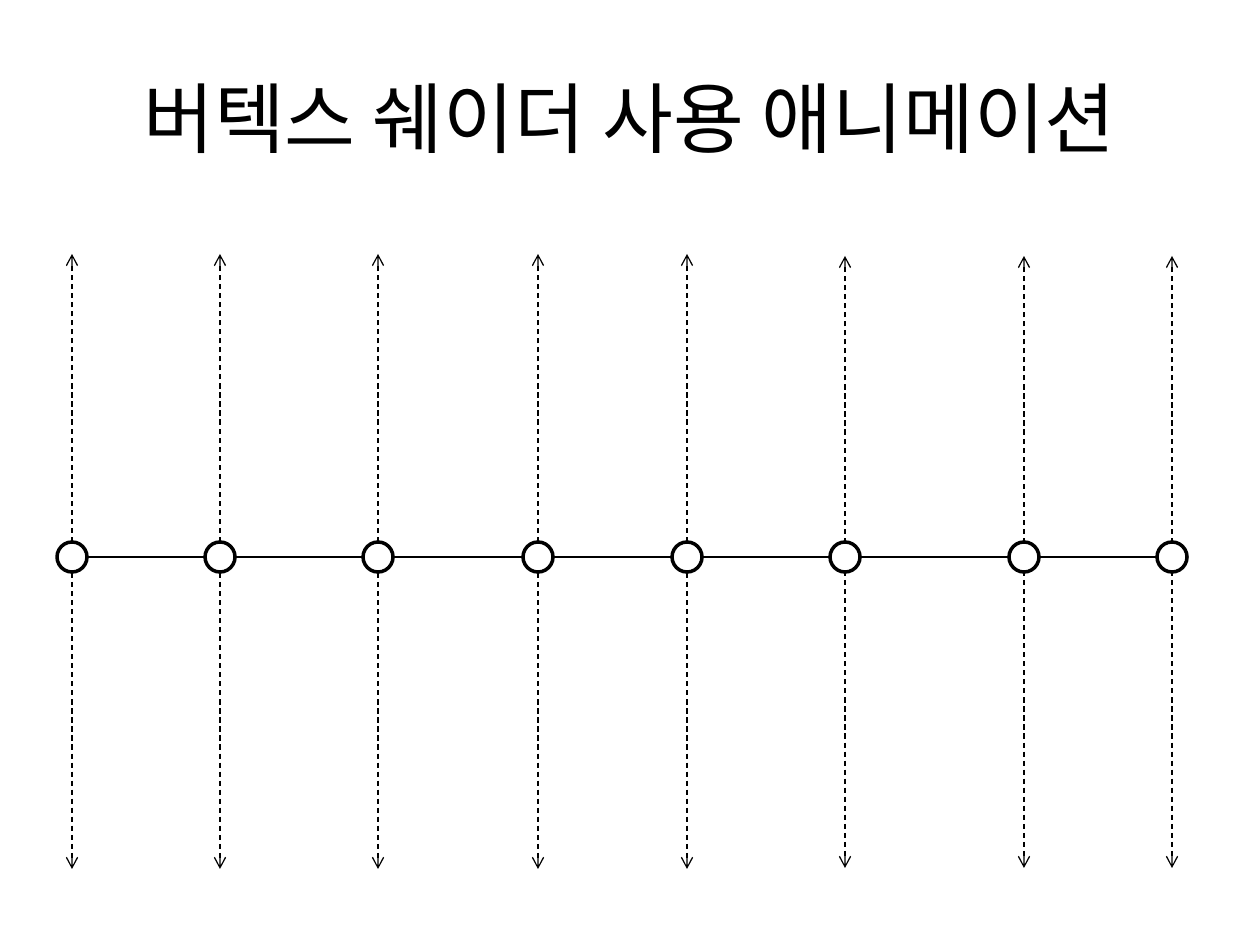
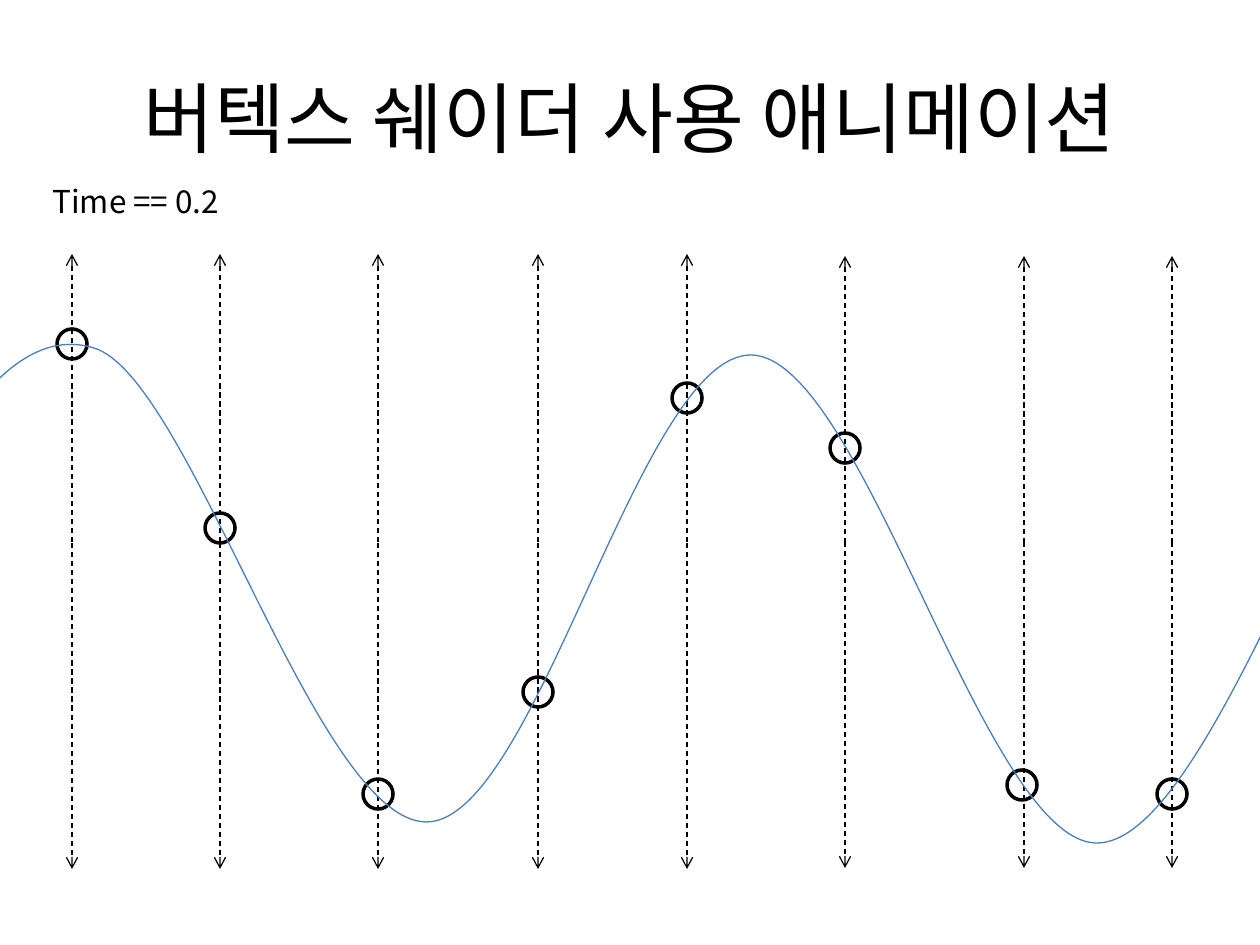
from itertools import pairwise

from lxml import etree
from pptx import Presentation
from pptx import util as u
from pptx.dml.color import RGBColor
from pptx.enum import dml, shapes, text
from pptx.oxml import ns

SCALE = 914400 / 126
FONT = "Noto Sans CJK KR"
BLACK, WHITE, BLUE = "000000", "FFFFFF", "4B7EBC"
TITLE = "버텍스 쉐이더 사용 애니메이션"
AXES = [72, 220, 378, 538, 687, 845, 1024, 1172]
LOWERED_FROM = 5
REST_Y = 557
RADIUS = 15
WAVE_VERTICES = [(72, 344), (220, 528), (378, 794), (538, 692),
                 (687, 398), (845, 448), (1022, 785), (1172, 794)]
WAVE_START = (-154, 640)
WAVE_CURVES = [
    [(-78, 479), (-3, 318), (94, 348)],
    [(190, 377), (316, 820), (426, 822)],
    [(536, 823), (640, 352), (752, 355)],
    [(863, 359), (984, 840), (1096, 843)],
    [(1207, 845), (1334, 413), (1419, 369)],
]


def px(length):
    """Turn pixels into EMU."""
    return u.Emu(round(length * SCALE))


def color(value):
    """Turn a hex string into a colour."""
    return RGBColor.from_string(value)


def style_line(shape, value=BLACK, width=0.75):
    """Set the colour and width of an outline."""
    shape.line.color.rgb = color(value)
    shape.line.width = u.Pt(width)


def add_label(slide, wording, box, size, centred=False):
    """Add a text box with one line of text."""
    frame = slide.shapes.add_textbox(*map(px, box)).text_frame
    frame.word_wrap = True
    frame.text = wording
    paragraph = frame.paragraphs[0]
    if centred:
        frame.vertical_anchor = text.MSO_ANCHOR.MIDDLE
        paragraph.alignment = text.PP_ALIGN.CENTER
    font = paragraph.runs[0].font
    font.size, font.name = u.Pt(size), FONT
    font.color.rgb = color(BLACK)
    east_asian = etree.SubElement(paragraph.runs[0]._r.rPr, ns.qn("a:ea"))
    east_asian.set("typeface", FONT)


def add_vertex(slide, x, y):
    """Add a ring centred on a point."""
    ring = slide.shapes.add_shape(shapes.MSO_SHAPE.OVAL, px(x - RADIUS),
                                  px(y - RADIUS), px(2 * RADIUS), px(2 * RADIUS))
    ring.shadow.inherit = False
    ring.fill.solid()
    ring.fill.fore_color.rgb = color(WHITE)
    style_line(ring, width=2)


def add_line(owner, start, end):
    """Add a thin straight line to a slide or group."""
    line = owner.shapes.add_connector(shapes.MSO_CONNECTOR.STRAIGHT,
                                      *map(px, (*start, *end)))
    style_line(line)
    etree.SubElement(line._element.spPr, ns.qn("a:effectLst"))
    return line


def add_arrows(slide, start_y, end_y, lowered_start, lowered_end):
    """Add a group of dashed arrows, one on each axis."""
    group = slide.shapes.add_group_shape()
    for index, x in enumerate(AXES):
        low = index >= LOWERED_FROM
        arrow = add_line(group, (x, lowered_start if low else start_y),
                         (x, lowered_end if low else end_y))
        arrow.line.dash_style = dml.MSO_LINE.DASH
        tail = etree.SubElement(arrow.line._get_or_add_ln(), ns.qn("a:tailEnd"))
        tail.set("type", "arrow")


def add_wave(slide):
    """Add the wave as a freeform of cubic curves."""
    ends = [curve[-1] for curve in WAVE_CURVES]
    builder = slide.shapes.build_freeform(*WAVE_START, scale=SCALE)
    builder.add_line_segments(ends, close=False)
    wave = builder.convert_to_shape()
    wave.shadow.inherit = False
    wave.fill.background()
    style_line(wave, BLUE)
    left, top = map(min, zip(WAVE_START, *ends))
    segments = list(wave._element.iter(ns.qn("a:lnTo")))
    for segment, curve in zip(segments, WAVE_CURVES):
        cubic = etree.Element(ns.qn("a:cubicBezTo"))
        for x, y in curve:
            point = etree.SubElement(cubic, ns.qn("a:pt"))
            point.set("x", str(x - left))
            point.set("y", str(y - top))
        segment.getparent().replace(segment, cubic)


def add_vertex_slide(presentation, vertices):
    """Add a slide with the shared title and its vertices."""
    slide = presentation.slides.add_slide(presentation.slide_layouts[6])
    add_label(slide, TITLE, (63, 38, 1134, 157), 44, centred=True)
    for x, y in vertices:
        add_vertex(slide, x, y)
    return slide


def add_rest_slide(presentation):
    """Show the vertices at rest on one straight line."""
    slide = add_vertex_slide(presentation, [(x, REST_Y) for x in AXES])
    for left, right in pairwise(AXES):
        add_line(slide, (left + RADIUS, REST_Y), (right - RADIUS, REST_Y))
    add_arrows(slide, 542, 254, 543, 256)
    add_arrows(slide, 573, 869, 571, 868)


def add_wave_slide(presentation):
    """Show the vertices moved onto the wave."""
    slide = add_vertex_slide(presentation, WAVE_VERTICES)
    add_arrows(slide, 542, 254, 543, 256)
    add_arrows(slide, 543, 869, 542, 868)
    add_label(slide, "Time == 0.2", (40, 176, 210, 50), 18)
    add_wave(slide)


def main():
    """Build and save the presentation."""
    presentation = Presentation()
    presentation.slide_width, presentation.slide_height = px(1260), px(945)
    add_rest_slide(presentation)
    add_wave_slide(presentation)
    presentation.save("out.pptx")


main()
